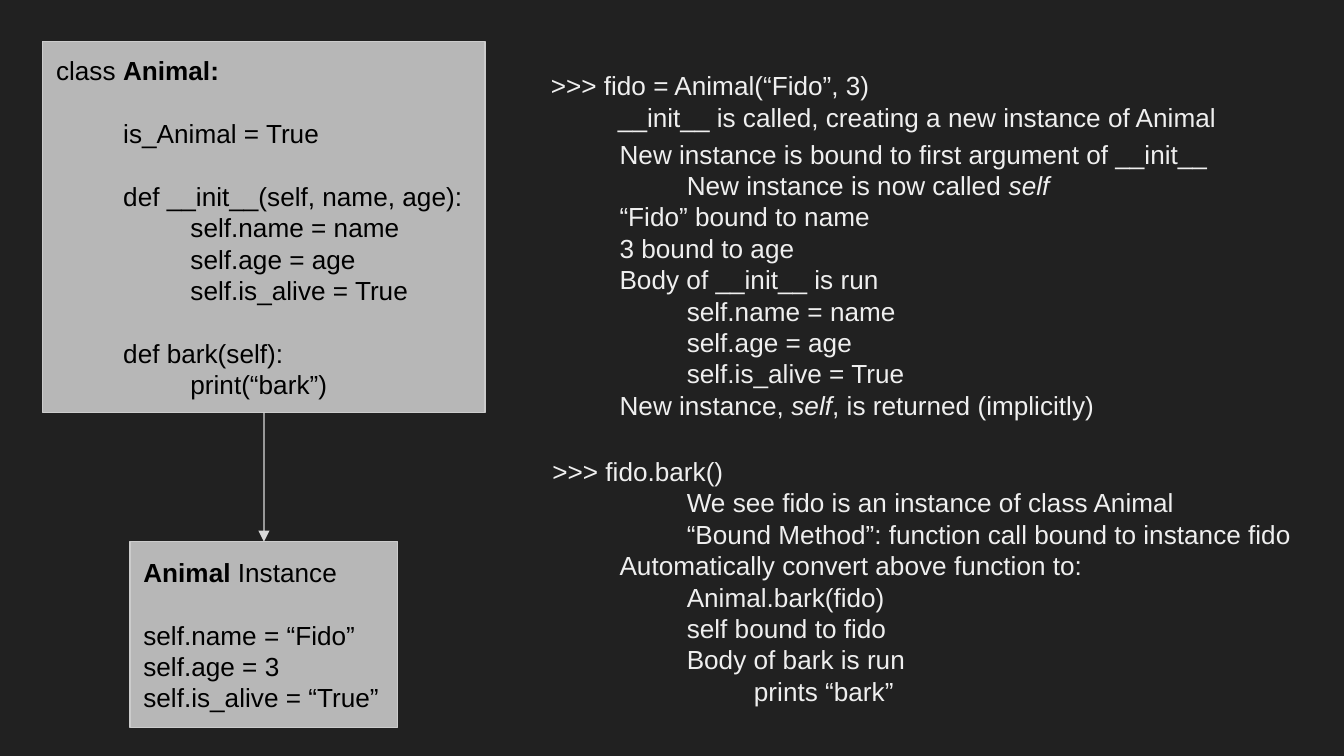
from dataclasses import dataclass
from typing import Any

from lxml.etree import SubElement
from pptx import Presentation
from pptx.dml.color import RGBColor
from pptx.enum.shapes import MSO_CONNECTOR, MSO_SHAPE
from pptx.enum.text import MSO_ANCHOR, PP_ALIGN
from pptx.oxml.ns import qn
from pptx.util import Cm, Pt

COLORS = {
    "background": "212121",
    "panel": "B7B7B7",
    "border": "CCCCCC",
    "arrow": "D9D9D9",
    "dark text": "000000",
    "light text": "EFEFEF",
}
TOP, BOTTOM = 0, 2


def color(name):
    return RGBColor.from_string(COLORS[name])


@dataclass
class Line:
    """One line of text; parts between asterisks are emphasised."""
    level: int
    text: str
    gap: int = 0


def write(frame, lines, ink, emphasis, font="Arial", size=14,
          pitch=16.8, anchor=MSO_ANCHOR.TOP):
    """Fill a text frame; emphasis names the font attribute to switch on."""
    frame.word_wrap = True
    frame.vertical_anchor = anchor
    frame.margin_left = frame.margin_right = Cm(0.25)
    frame.margin_top = frame.margin_bottom = Cm(0.25)
    for number, line in enumerate(lines):
        para = frame.add_paragraph() if number else frame.paragraphs[0]
        properties = para._p.get_or_add_pPr()
        properties.set("marL", str(Cm(1.27 * line.level)))
        properties.set("indent", "0")
        para.alignment = PP_ALIGN.LEFT
        para.line_spacing = Pt(pitch)
        para.space_before = Pt(pitch * line.gap)
        for position, part in enumerate(line.text.split("*")):
            if not part:
                continue
            span = para.add_run()
            span.text = part
            span.font.name = font
            span.font.size = Pt(size)
            span.font.color.rgb = color(ink)
            if position % 2:
                setattr(span.font, emphasis, True)


@dataclass
class Diagram:
    page: Any
    line_width: float = 0.75

    def background(self):
        fill = self.page.background.fill
        fill.solid()
        fill.fore_color.rgb = color("background")

    def panel(self, left, top, width, height, lines):
        box = self.page.shapes.add_shape(
            MSO_SHAPE.RECTANGLE, Cm(left), Cm(top), Cm(width), Cm(height))
        box.shadow.inherit = False
        box.fill.solid()
        box.fill.fore_color.rgb = color("panel")
        box.line.color.rgb = color("border")
        box.line.width = Pt(self.line_width)
        write(box.text_frame, lines, "dark text", "bold", anchor=MSO_ANCHOR.MIDDLE)
        return box

    def notes(self, left, top, width, height, lines):
        box = self.page.shapes.add_textbox(Cm(left), Cm(top), Cm(width), Cm(height))
        write(box.text_frame, lines, "light text", "italic")

    def arrow(self, upper, lower):
        connector = self.page.shapes.add_connector(MSO_CONNECTOR.STRAIGHT, 0, 0, 0, 0)
        connector.begin_connect(upper, BOTTOM)
        connector.end_connect(lower, TOP)
        connector.line.color.rgb = color("arrow")
        connector.line.width = Pt(self.line_width)
        SubElement(connector.line._get_or_add_ln(), qn("a:tailEnd"), type="triangle")
        SubElement(connector._element.spPr, qn("a:effectLst"))


def main():
    deck = Presentation()
    deck.slide_width, deck.slide_height = Cm(25.4), Cm(14.29)
    diagram = Diagram(deck.slides.add_slide(deck.slide_layouts[6]))
    diagram.background()

    animal_class = diagram.panel(0.81, 0.79, 8.36, 7.01, [
        Line(0, "class *Animal:*"),
        Line(1, "is_Animal = True", gap=1),
        Line(1, "def __init__(self, name, age):", gap=1),
        Line(2, "self.name = name"),
        Line(2, "self.age = age"),
        Line(2, "self.is_alive = True"),
        Line(1, "def bark(self):", gap=1),
        Line(2, "print(“bark”)"),
    ])
    diagram.notes(10.16, 1.07, 13.84, 1.7, [
        Line(0, ">>> fido = Animal(“Fido”, 3)"),
        Line(1, "__init__ is called, creating a new instance of Animal"),
    ])
    diagram.notes(10.19, 8.36, 14.83, 5, [
        Line(0, ">>> fido.bark()"),
        Line(2, "We see fido is an instance of class Animal"),
        Line(2, "“Bound Method”: function call bound to instance fido"),
        Line(1, "Automatically convert above function to:"),
        Line(2, "Animal.bark(fido)"),
        Line(2, "self bound to fido"),
        Line(2, "Body of bark is run"),
        Line(3, "prints “bark”"),
    ])
    diagram.notes(10.19, 2.36, 13.84, 5.77, [
        Line(1, "New instance is bound to first argument of __init__"),
        Line(2, "New instance is now called *self*"),
        Line(1, "“Fido” bound to name"),
        Line(1, "3 bound to age"),
        Line(1, "Body of __init__ is run"),
        Line(2, "self.name = name"),
        Line(2, "self.age = age"),
        Line(2, "self.is_alive = True"),
        Line(1, "New instance, *self*, is returned (implicitly)"),
    ])
    animal_instance = diagram.panel(2.46, 10.24, 5.06, 3.51, [
        Line(0, "*Animal* Instance"),
        Line(0, "self.name = “Fido”", gap=1),
        Line(0, "self.age = 3"),
        Line(0, "self.is_alive = “True”"),
    ])
    diagram.arrow(animal_class, animal_instance)
    deck.save("out.pptx")


if __name__ == "__main__":
    main()
